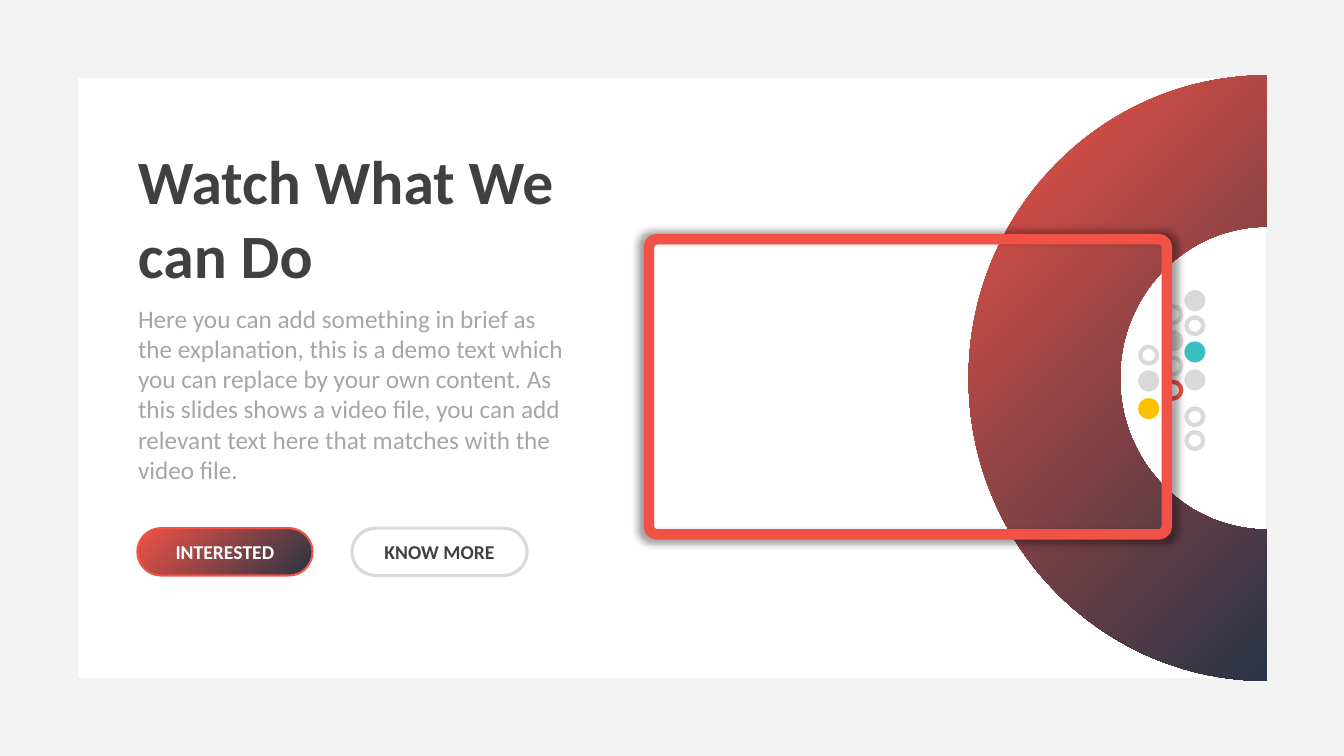
from dataclasses import dataclass

import pptx
import pptx.dml.color
import pptx.enum.shapes
import pptx.enum.text
import pptx.oxml
import pptx.oxml.ns
import pptx.util

Pt = pptx.util.Pt
SHAPE = pptx.enum.shapes.MSO_SHAPE
qn = pptx.oxml.ns.qn


@dataclass(frozen=True)
class Theme:
    font: str = "Calibri"
    border: str = "F2F2F2"
    accent: str = "F25245"
    navy: str = "273445"
    grey: str = "D9D9D9"
    teal: str = "3BBEBE"
    amber: str = "FFC000"
    dark: str = "404040"
    muted: str = "A6A6A6"
    white: str = "FFFFFF"
    shadow: str = "000000"
    title: int = 44
    body: int = 18
    button: int = 14


T = Theme()


def rgb(value):
    return pptx.dml.color.RGBColor.from_string(value)


def paint(sp, fill=None, line=None, width=0):
    sp.shadow.inherit = False
    if isinstance(fill, tuple):
        sp.fill.gradient()
        sp.fill.gradient_angle = 315
        for stop, color in zip(sp.fill.gradient_stops, fill):
            stop.color.rgb = rgb(color)
    elif fill:
        sp.fill.solid()
        sp.fill.fore_color.rgb = rgb(fill)
    else:
        sp.fill.background()
    if line:
        sp.line.color.rgb = rgb(line)
        sp.line.width = Pt(width)
    else:
        sp.line.fill.background()


def add_shape(parent, kind, box, adjust=None, **style):
    sp = parent.shapes.add_shape(kind, *map(Pt, box))
    if adjust is not None:
        sp.adjustments[0] = adjust
    paint(sp, **style)
    return sp


def write(sp, text, color, size, bold=False, align="LEFT"):
    p = sp.text_frame.paragraphs[0]
    p.alignment = getattr(pptx.enum.text.PP_ALIGN, align)
    r = p.add_run()
    r.text = text
    for name, value in {"name": T.font, "size": Pt(size), "bold": bold}.items():
        setattr(r.font, name, value)
    r.font.color.rgb = rgb(color)


def add_text(s, box, *args, **style):
    sp = s.shapes.add_textbox(*map(Pt, box))
    sp.text_frame.word_wrap = True
    write(sp, *args, **style)


def half_arc(right, middle, rx, ry):
    k = 0.5523
    upper = [(0, -1), (-k, -1), (-1, -k), (-1, 0)]
    lower = [(x, -y) for x, y in reversed(upper[:-1])]
    return [(Pt(right + x * rx), Pt(middle + y * ry)) for x, y in upper + lower]


def half_ring(s, box):
    left, top, width, height = box
    right, middle, ry = left + width, top + height / 2, height / 2
    outer = half_arc(right, middle, width, ry)
    inner = half_arc(right, middle, width - ry / 2, ry / 2)
    points = outer + inner[::-1]
    builder = s.shapes.build_freeform(*points[0])
    builder.add_line_segments(points[1:])
    sp = builder.convert_to_shape()
    lines = list(sp._element.iter(qn("a:lnTo")))
    for start in (0, 3, 7, 10):
        first, *others = lines[start:start + 3]
        curve = pptx.oxml.parse_xml(f'<a:cubicBezTo {pptx.oxml.ns.nsdecls("a")}/>')
        first.addprevious(curve)
        for line in (first, *others):
            curve.append(line[0])
            line.getparent().remove(line)
    paint(sp, fill=(T.accent, T.navy))


def dots(s, box):
    left, top, width, height = box
    size, stroke = 15, 3
    columns = {
        width - size: [(0, T.grey, True), (18, T.grey, False), (36.7, T.teal, True),
                       (56.7, T.grey, True), (83, T.grey, False), (100, T.grey, False)],
        17.3: [(10, T.grey, False), (28.8, T.grey, True),
               (46.8, T.grey, False), (64, T.accent, False)],
        0: [(39, T.grey, False), (57.4, T.grey, True), (77.2, T.amber, True)],
    }
    group = s.shapes.add_group_shape()
    for x, column in columns.items():
        for y, color, solid in column:
            inset = 0 if solid else stroke / 2
            side = size - 2 * inset
            style = {"fill": color} if solid else {"line": color, "width": stroke}
            add_shape(group, SHAPE.OVAL, (left + x + inset, top + y + inset, side, side), **style)


def message(s, box):
    left, top, width, height = box
    add_text(s, (left, top, width, 114), "Watch What We can Do", T.dark, T.title, bold=True)
    add_text(s, (left, top + 114.3, 320, height - 114.3),
             "Here you can add something in brief as the explanation, this is a demo text "
             "which you can replace by your own content. As this slides shows a video file, "
             "you can add relevant text here that matches with the video file.",
             T.muted, T.body)


def buttons(s, box):
    left, top, width, height = box
    button_width = 125
    looks = [
        ("INTERESTED", T.white, {"fill": (T.accent, T.navy), "line": T.accent, "width": 1.5}),
        ("KNOW MORE", T.dark, {"line": T.grey, "width": 2.25}),
    ]
    for i, (label, color, style) in enumerate(looks):
        x = left + i * (width - button_width)
        sp = add_shape(s, SHAPE.ROUNDED_RECTANGLE, (x, top, button_width, height), 0.5, **style)
        sp.text_frame.vertical_anchor = pptx.enum.text.MSO_ANCHOR.MIDDLE
        write(sp, label, color, T.button, bold=True, align="CENTER")


def video_frame(s, box):
    sp = add_shape(s, SHAPE.ROUNDED_RECTANGLE, box, 0.028, line=T.accent, width=7.5)
    effects = sp._element.spPr.find(qn("a:effectLst"))
    effects.append(pptx.oxml.parse_xml(
        f'<a:outerShdw {pptx.oxml.ns.nsdecls("a")} blurRad="{Pt(6)}" sx="102000" sy="102000" '
        f'algn="ctr" rotWithShape="0"><a:srgbClr val="{T.shadow}">'
        '<a:alpha val="40000"/></a:srgbClr></a:outerShdw>'))


def video_slide(prs, box):
    s = prs.slides.add_slide(prs.slide_layouts[6])
    add_shape(s, SHAPE.FRAME, box, 0.103, fill=T.border)
    half_ring(s, (691.9, 53.8, 213, 432.6))
    dots(s, (813, 207.2, 48, 115))
    message(s, (91.5, 98.6, 328.3, 252.5))
    buttons(s, (98.2, 377.3, 278.3, 33.8))
    video_frame(s, (463.5, 170.8, 370, 211))


prs = pptx.Presentation()
prs.slide_width, prs.slide_height = Pt(960), Pt(540)
video_slide(prs, (0, 0, 960, 540))
prs.save("out.pptx")
